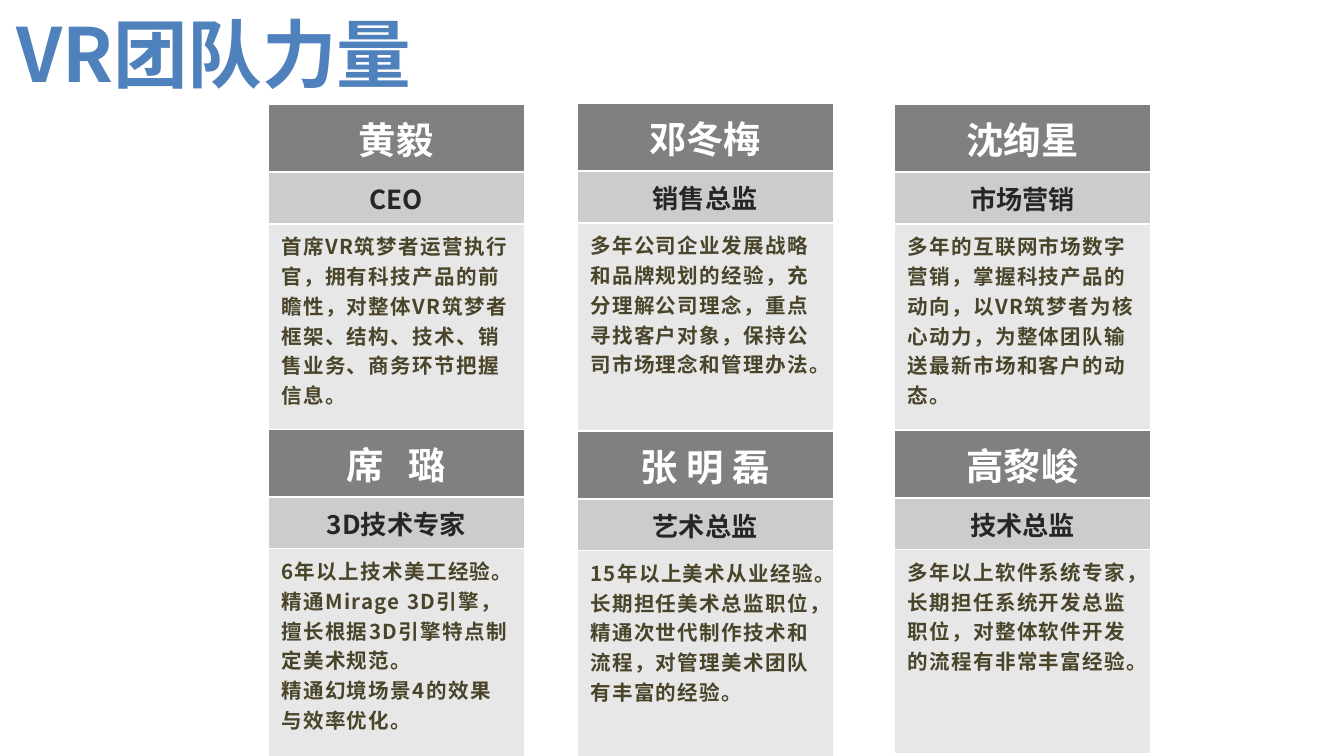
from dataclasses import dataclass
from pptx import Presentation as Deck
from pptx.dml.color import RGBColor as Rgb
from pptx.enum.text import MSO_ANCHOR as Anchor, PP_ALIGN as Align
from pptx.oxml.ns import qn
from pptx.util import Pt
from lxml.etree import SubElement as Sub

SCALE = 6350


@dataclass(frozen=True)
class Theme:
    font: str = "Noto Sans CJK SC"
    white: str = "FFFFFF"
    title: str = "4F81BD"
    fills: tuple = ("808080", "CCCCCC", "E7E7E7")
    inks: tuple = ("FFFFFF", "262626", "4A452A")
    sizes: tuple = (20, 14, 11)
    head: int = 40
    lead: int = 16
    track: float = 0.7
    edge: int = 1


THEME = Theme()
COLS = (287, 618, 958)
WIDTH = 275
NAME, ROLE = 66, 52
TEAM = (
    (112, 223, "黄毅", 0, "CEO",
     "首席VR筑梦者运营执行官，拥有科技产品的前瞻性，对整体VR筑梦者框架、结构、技术、销售业务、商务环节把握信息。"),
    (111, 223, "邓冬梅", 0, "销售总监",
     "多年公司企业发展战略和品牌规划的经验，充分理解公司理念，重点寻找客户对象，保持公司市场理念和管理办法。"),
    (112, 223, "沈绚星", 0, "市场营销",
     "多年的互联网市场数字营销，掌握科技产品的动向，以VR筑梦者为核心动力，为整体团队输送最新市场和客户的动态。"),
    (460, 232, "席 璐", 4.5, "3D技术专家",
     "6年以上技术美工经验。精通Mirage 3D引擎，擅长根据3D引擎特点制定美术规范。\n精通幻境场景4的效果与效率优化。"),
    (462, 226, "张 明 磊", 0, "艺术总监",
     "15年以上美术从业经验。\n长期担任美术总监职位，精通次世代制作技术和流程，对管理美术团队有丰富的经验。"),
    (461, 219, "高黎峻", 0, "技术总监",
     "多年以上软件系统专家，长期担任系统开发总监职位，对整体软件开发的流程有非常丰富经验。"),
)


def px(*nums):
    return [n * SCALE for n in nums]


def style(para, size, ink, track=0):
    font = para.font
    font.name, font.size, font.bold = THEME.font, Pt(size), True
    font.color.rgb = Rgb.from_string(ink)
    props = para._p.pPr.find(qn("a:defRPr"))
    Sub(props, qn("a:ea")).set("typeface", THEME.font)
    if track:
        props.set("spc", str(round(track * 100)))


def edge(cell):
    props = cell._tc.get_or_add_tcPr()
    for spot, side in enumerate("LRTB"):
        line = Sub(props, qn(f"a:ln{side}"), w=str(Pt(THEME.edge)))
        fill = Sub(line, qn("a:solidFill"))
        Sub(fill, qn("a:srgbClr"), val=THEME.white)
        props.insert(spot, line)


def title(slide, box, text):
    frame = slide.shapes.add_textbox(*px(*box)).text_frame
    frame.word_wrap = True
    frame.text = text
    style(frame.paragraphs[0], THEME.head, THEME.title)


def card(slide, box, name, gap, role, note):
    left, top, width, height = box
    shape = slide.shapes.add_table(3, 1, *px(left, top, width, height))
    table = shape.table
    table.first_row = table.horz_banding = False
    rows = px(NAME, ROLE, height - NAME - ROLE)
    tracks = (gap, 0, THEME.track)
    for row, text in enumerate((name, role, note)):
        body = row == 2
        table.rows[row].height = rows[row]
        cell = table.cell(row, 0)
        cell.text = text
        cell.vertical_anchor = Anchor.TOP if body else Anchor.MIDDLE
        cell.fill.solid()
        cell.fill.fore_color.rgb = Rgb.from_string(THEME.fills[row])
        edge(cell)
        for para in cell.text_frame.paragraphs:
            para.alignment = Align.LEFT if body else Align.CENTER
            if body:
                para.line_spacing = Pt(THEME.lead)
            style(para, THEME.sizes[row], THEME.inks[row], tracks[row])


def main():
    deck = Deck()
    deck.slide_width, deck.slide_height = px(1440, 810)
    slide = deck.slides.add_slide(deck.slide_layouts[6])
    for spot, (top, body, *texts) in enumerate(TEAM):
        left = COLS[spot % len(COLS)]
        card(slide, (left, top, WIDTH, NAME + ROLE + body), *texts)
    title(slide, (3, 1, 1083, 111), "VR团队力量")
    deck.save("out.pptx")


if __name__ == "__main__":
    main()
